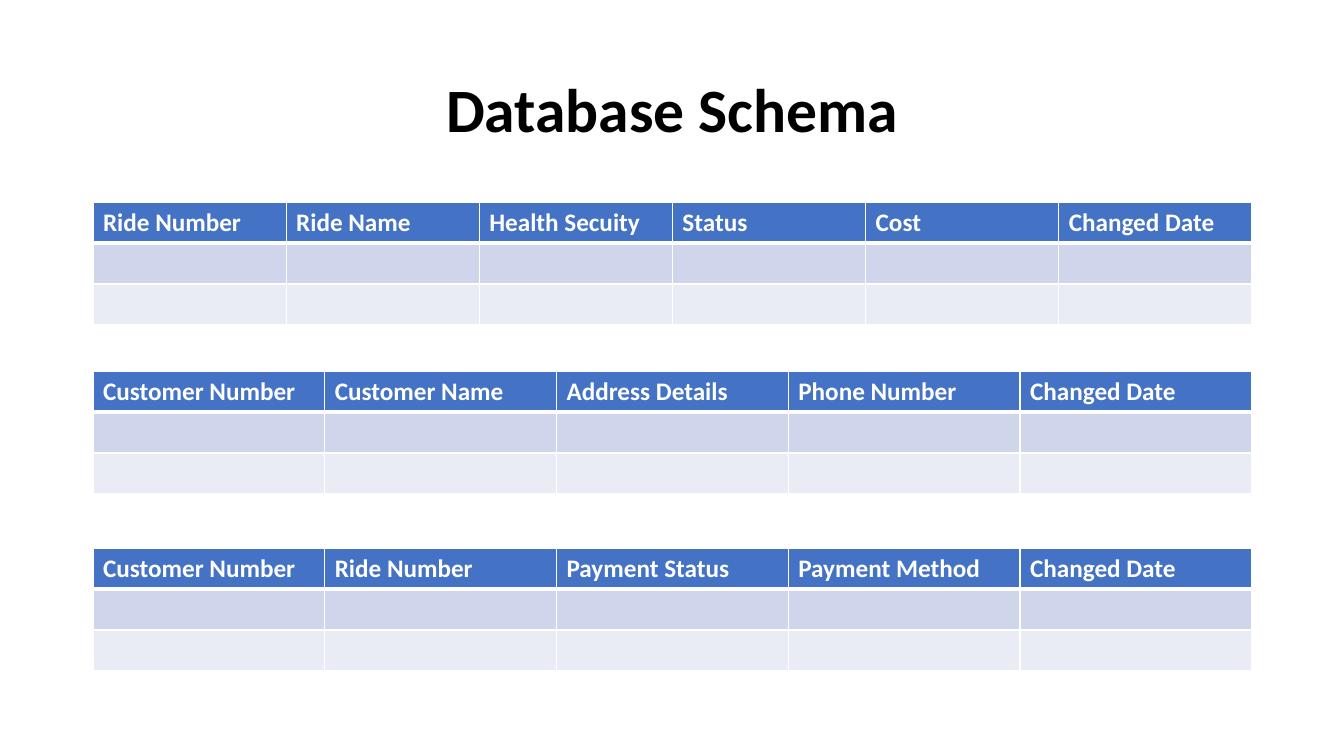
from lxml.etree import SubElement
from pptx import Presentation
from pptx.dml.color import RGBColor
from pptx.enum.text import MSO_ANCHOR as Anchor, PP_ALIGN as Align
from pptx.oxml.ns import qn
from pptx.util import Pt

PIXEL = 914400 / 100.8
COLORS = {"title": "000000", "header": "4472C4", "header_text": "FFFFFF",
          "band_dark": "CFD5EA", "band_light": "E9EBF5", "border": "FFFFFF"}
ROW_FILLS = ["header", "band_dark", "band_light"]
ROW_HEIGHT = 41
TABLES = [
    (202, ["Ride Number", "Ride Name", "Health Secuity", "Status", "Cost",
           "Changed Date"]),
    (371, ["Customer Number", "Customer Name", "Address Details",
           "Phone Number", "Changed Date"]),
    (548, ["Customer Number", "Ride Number", "Payment Status",
           "Payment Method", "Changed Date"]),
]


def emu(pixels):
    """Turn pixels into whole EMU."""
    return round(pixels * PIXEL)


def write_text(frame, text, *, size, color, align=Align.LEFT, spacing=1.0):
    """Write one bold paragraph into a text frame."""
    paragraph = frame.paragraphs[0]
    paragraph.alignment = align
    paragraph.line_spacing = spacing
    run = paragraph.add_run()
    run.text = text
    run.font.name = "Calibri"
    run.font.size = Pt(size)
    run.font.bold = True
    run.font.color.rgb = RGBColor.from_string(COLORS[color])


def add_border(cell, side, points):
    """Draw one side of a cell: L, R, T or B, in that order."""
    properties = cell._tc.get_or_add_tcPr()
    line = SubElement(properties, qn(f"a:ln{side}"), w=str(Pt(points)))
    fill = SubElement(line, qn("a:solidFill"))
    SubElement(fill, qn("a:srgbClr"), val=COLORS["border"])


def add_title(slide, text, box):
    """Place the slide title in its box."""
    title = slide.shapes.title
    title.left, title.top, title.width, title.height = map(emu, box)
    title.text_frame.word_wrap = True
    title.text_frame.vertical_anchor = Anchor.MIDDLE
    write_text(title.text_frame, text, size=44, color="title",
               align=Align.CENTER, spacing=0.9)


def add_schema_table(slide, headings, box):
    """Fill a box with a heading row and two empty banded rows."""
    left, top, width, height = map(emu, box)
    table = slide.shapes.add_table(len(ROW_FILLS), len(headings),
                                   left, top, width, height).table
    for column in table.columns:
        column.width = round(width / len(headings))
    for row_index, fill_name in enumerate(ROW_FILLS):
        table.rows[row_index].height = round(height / len(ROW_FILLS))
        for column_index, heading in enumerate(headings):
            cell = table.cell(row_index, column_index)
            for side in "LR":
                add_border(cell, side, 1)
            add_border(cell, "T", 3 if row_index == 1 else 1)
            add_border(cell, "B", 3 if row_index == 0 else 1)
            cell.fill.solid()
            cell.fill.fore_color.rgb = RGBColor.from_string(COLORS[fill_name])
            if row_index == 0:
                write_text(cell.text_frame, heading, size=18,
                           color="header_text")


presentation = Presentation()
presentation.slide_width = emu(1344)
presentation.slide_height = emu(756)
slide = presentation.slides.add_slide(presentation.slide_layouts[5])
add_title(slide, "Database Schema", (93, 40, 1159, 146))
for table_top, table_headings in TABLES:
    add_schema_table(slide, table_headings,
                     (93, table_top, 1159, ROW_HEIGHT * len(ROW_FILLS)))
presentation.save("out.pptx")
